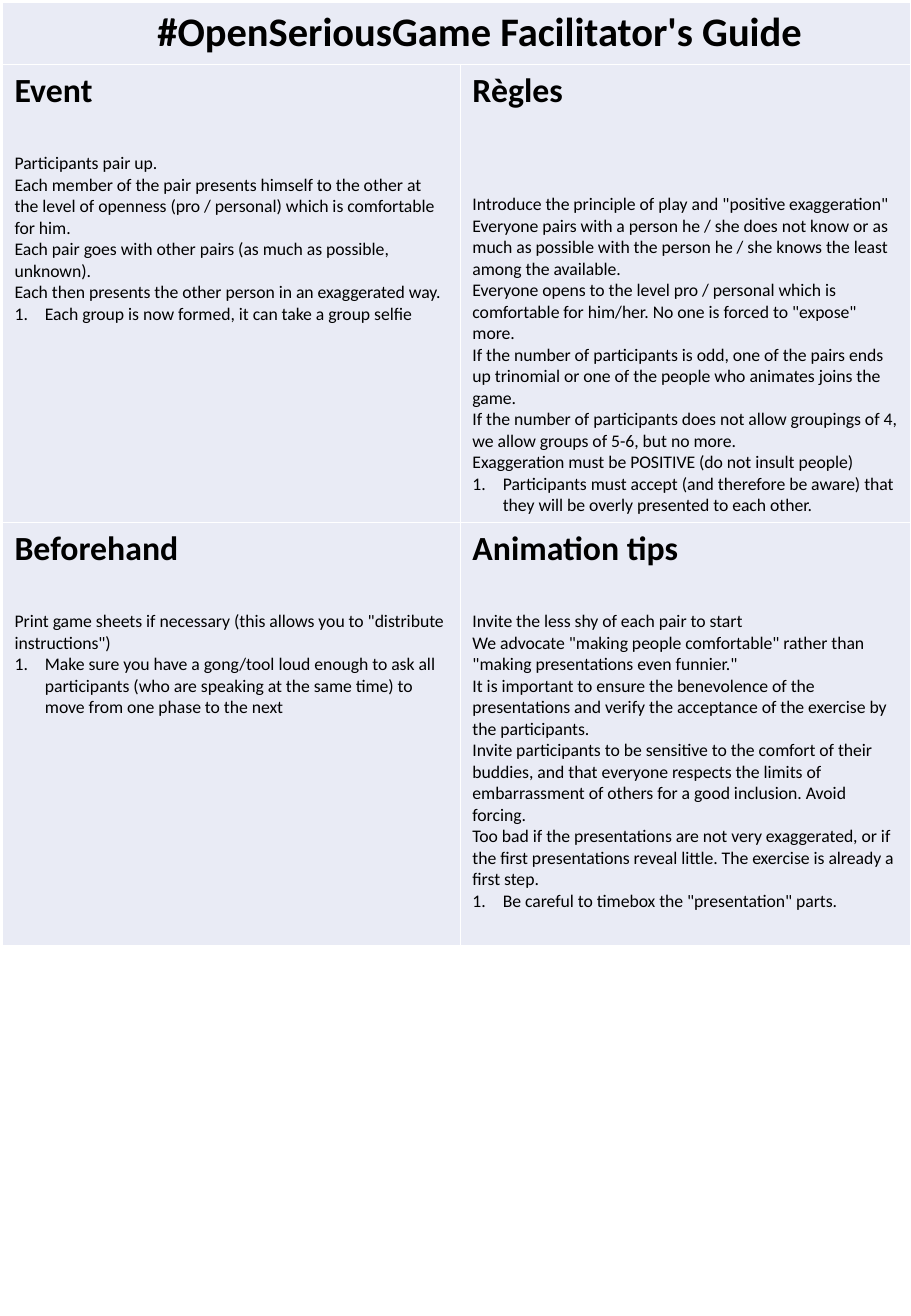
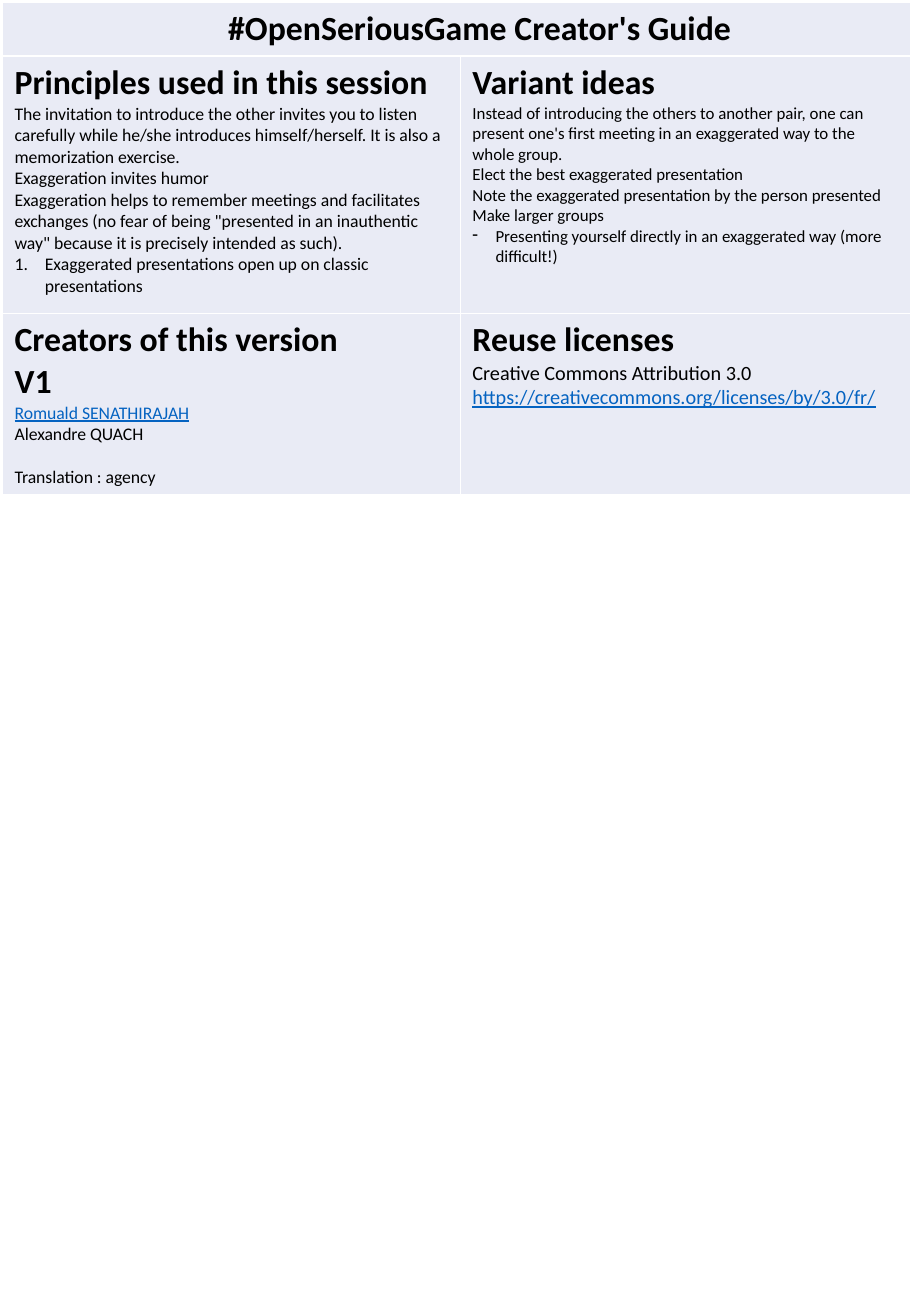
from dataclasses import dataclass

import pptx
import pptx.dml.color
import pptx.enum.text
import pptx.oxml
import pptx.oxml.ns
import pptx.util

EMU_PER_PX = 9144
SLIDE_SIZE = (750, 1083)
TABLE_CORNER = (2, 2)
COLUMN_WIDTHS = (377, 371)
TITLE_INDENT = 38
NUMBER_INDENT = 25
DASH_INDENT = 19


@dataclass(frozen=True)
class Theme:
    font: str = "Calibri"
    ink: str = "000000"
    link: str = "0563C1"
    panel: str = "E9EBF5"
    border: str = "FFFFFF"
    border_width: float = 1
    heading: float = 20
    body: float = 10.5
    small: float = 10
    licence: float = 12
    heading_gap: float = 24.4
    body_gap: float = 12.8


THEME = Theme()


@dataclass(frozen=True)
class Line:
    text: str
    size: float = THEME.body
    bold: bool = False
    link: bool = False
    marker: str = ""
    indent: int = 0
    before: float = 0
    after: float = 0


@dataclass(frozen=True)
class Guide:
    title: str
    title_size: float
    row_heights: tuple[int, ...]
    panels: tuple[tuple[list[Line], list[Line]], ...]


def px(length: int) -> pptx.util.Emu:
    return pptx.util.Emu(length * EMU_PER_PX)


def heading(text: str, blank_lines: int = 0) -> Line:
    return Line(text, THEME.heading, bold=True, after=blank_lines * THEME.heading_gap)


def numbered(*texts: str) -> list[Line]:
    lines = [Line(text) for text in texts[:-1]]
    return lines + [Line(texts[-1], marker="1.", indent=NUMBER_INDENT)]


def dashed(*texts: str) -> list[Line]:
    lines = [Line(text, THEME.small) for text in texts[:-1]]
    return lines + [Line(texts[-1], THEME.small, marker="-", indent=DASH_INDENT)]


GUIDES = (
    Guide(
        "#OpenSeriousGame Facilitator's Guide", 24, (51, 377, 348),
        (
            (
                [heading("Event", 1)] + numbered(
                    "Participants pair up.",
                    "Each member of the pair presents himself to the other at the level of openness (pro / personal) which is comfortable for him.",
                    "Each pair goes with other pairs (as much as possible, unknown).",
                    "Each then presents the other person in an exaggerated way.",
                    "Each group is now formed, it can take a group selfie",
                ),
                [heading("Règles", 2)] + numbered(
                    'Introduce the principle of play and "positive exaggeration"',
                    "Everyone pairs with a person he / she does not know or as much as possible with the person he / she knows the least among the available.",
                    'Everyone opens to the level pro / personal which is comfortable for him/her. No one is forced to "expose" more.',
                    "If the number of participants is odd, one of the pairs ends up trinomial or one of the people who animates joins the game.",
                    "If the number of participants does not allow groupings of 4, we allow groups of 5-6, but no more.",
                    "Exaggeration must be POSITIVE (do not insult people)",
                    "Participants must accept (and therefore be aware) that they will be overly presented to each other.",
                ),
            ),
            (
                [heading("Beforehand", 1)] + numbered(
                    'Print game sheets if necessary (this allows you to "distribute instructions")',
                    "Make sure you have a gong/tool loud enough to ask all participants (who are speaking at the same time) to move from one phase to the next",
                ),
                [heading("Animation tips", 1)] + numbered(
                    "Invite the less shy of each pair to start",
                    'We advocate "making people comfortable" rather than "making presentations even funnier."',
                    "It is important to ensure the benevolence of the presentations and verify the acceptance of the exercise by the participants.",
                    "Invite participants to be sensitive to the comfort of their buddies, and that everyone respects the limits of embarrassment of others for a good inclusion. Avoid forcing.",
                    "Too bad if the presentations are not very exaggerated, or if the first presentations reveal little. The exercise is already a first step.",
                    'Be careful to timebox the "presentation" parts.',
                ),
            ),
        ),
    ),
    Guide(
        "#OpenSeriousGame Creator's Guide", 20, (44, 212, 148),
        (
            (
                [heading("Principles used in this session")] + numbered(
                    "The invitation to introduce the other invites you to listen carefully while he/she introduces himself/herself. It is also a memorization exercise.",
                    "Exaggeration invites humor",
                    'Exaggeration helps to remember meetings and facilitates exchanges (no fear of being "presented in an inauthentic way" because it is precisely intended as such).',
                    "Exaggerated presentations open up on classic presentations",
                ),
                [heading("Variant ideas")] + dashed(
                    "Instead of introducing the others to another pair, one can present one's first meeting in an exaggerated way to the whole group.",
                    "Elect the best exaggerated presentation",
                    "Note the exaggerated presentation by the person presented",
                    "Make larger groups",
                    "Presenting yourself directly in an exaggerated way (more difficult!)",
                ),
            ),
            (
                [
                    heading("Creators of this version"),
                    heading("V1"),
                    Line("Romuald SENATHIRAJAH", link=True),
                    Line("Alexandre QUACH"),
                    Line("Translation : agency", before=THEME.body_gap),
                ],
                [
                    heading("Reuse licenses"),
                    Line("Creative Commons Attribution 3.0", THEME.licence),
                    Line("https://creativecommons.org/licenses/by/3.0/fr/", THEME.licence, link=True),
                ],
            ),
        ),
    ),
)


def style_cell(cell) -> None:
    properties = cell._tc.get_or_add_tcPr()
    width = pptx.util.Pt(THEME.border_width)
    for side in ("lnL", "lnR", "lnT", "lnB"):
        properties.append(pptx.oxml.parse_xml(
            f'<a:{side} {pptx.oxml.ns.nsdecls("a")} w="{width}"><a:solidFill>'
            f'<a:srgbClr val="{THEME.border}"/></a:solidFill></a:{side}>'
        ))
    cell.fill.solid()
    cell.fill.fore_color.rgb = pptx.dml.color.RGBColor.from_string(THEME.panel)


def add_marker(para, marker: str, indent: int) -> None:
    properties = para._p.get_or_add_pPr()
    properties.set("marL", str(px(indent)))
    properties.set("indent", str(-px(indent)))
    tag = 'buAutoNum type="arabicPeriod"' if marker == "1." else f'buChar char="{marker}"'
    properties.append(pptx.oxml.parse_xml(f'<a:{tag} {pptx.oxml.ns.nsdecls("a")}/>'))


def write_line(para, line: Line) -> None:
    para.text = line.text
    if line.before:
        para.space_before = pptx.util.Pt(line.before)
    if line.after:
        para.space_after = pptx.util.Pt(line.after)
    if line.marker:
        add_marker(para, line.marker, line.indent)
    for span in para.runs:
        span.font.name = THEME.font
        span.font.size = pptx.util.Pt(line.size)
        span.font.bold = line.bold
        span.font.underline = line.link
        colour = THEME.link if line.link else THEME.ink
        span.font.color.rgb = pptx.dml.color.RGBColor.from_string(colour)


def write_panel(cell, lines: list[Line]) -> None:
    frame = cell.text_frame
    for number, line in enumerate(lines):
        write_line(frame.add_paragraph() if number else frame.paragraphs[0], line)


def write_title(cell, guide: Guide) -> None:
    para = cell.text_frame.paragraphs[0]
    para.alignment = pptx.enum.text.PP_ALIGN.CENTER
    para._p.get_or_add_pPr().set("marL", str(px(TITLE_INDENT)))
    write_line(para, Line(guide.title, guide.title_size, bold=True))


def draw_guide(deck, guide: Guide) -> None:
    page = deck.slides.add_slide(deck.slide_layouts[6])
    table = page.shapes.add_table(
        len(guide.row_heights), len(COLUMN_WIDTHS), *map(px, TABLE_CORNER),
        px(sum(COLUMN_WIDTHS)), px(sum(guide.row_heights)),
    ).table
    table.first_row = False
    table.horz_banding = False
    for column, width in zip(table.columns, COLUMN_WIDTHS):
        column.width = px(width)
    for row, height in zip(table.rows, guide.row_heights):
        row.height = px(height)
    for cell in table.iter_cells():
        style_cell(cell)
    table.cell(0, 0).merge(table.cell(0, len(COLUMN_WIDTHS) - 1))
    write_title(table.cell(0, 0), guide)
    for row_number, panels in enumerate(guide.panels, start=1):
        for column_number, lines in enumerate(panels):
            write_panel(table.cell(row_number, column_number), lines)


def main() -> None:
    deck = pptx.Presentation()
    deck.slide_width, deck.slide_height = map(px, SLIDE_SIZE)
    for guide in GUIDES:
        draw_guide(deck, guide)
    deck.save("out.pptx")


if __name__ == "__main__":
    main()
